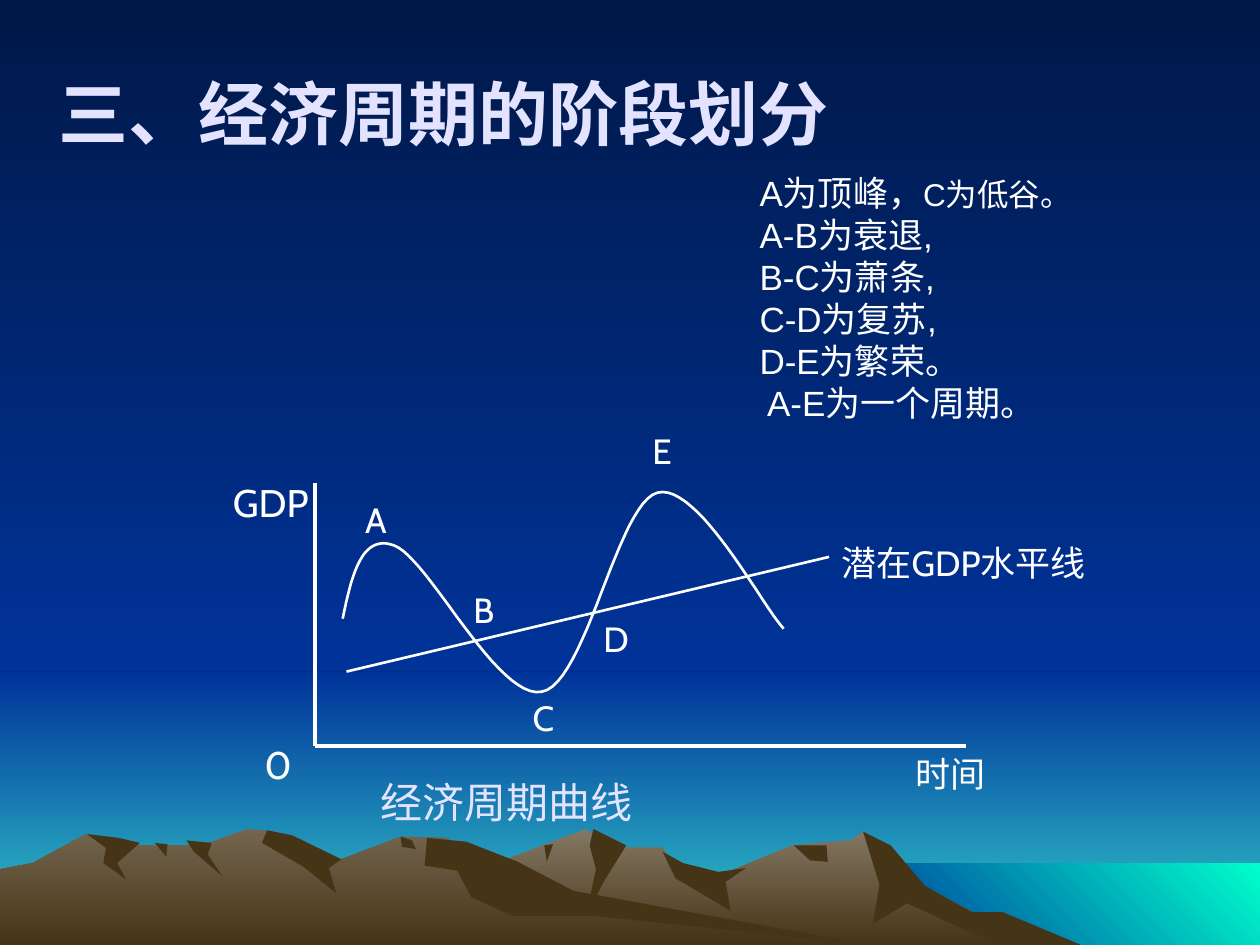
import pptx
import pptx.util
import pptx.dml.color
import pptx.enum.shapes
import pptx.enum.text
import pptx.oxml
import pptx.oxml.ns

WIDTH, HEIGHT = 10, 7.5
HORIZON, SHORE = 5.33, (6.83, 6.85)
WHITE, LILAC, BROWN = "FFFFFF", "E3E3FF", "463416"
NIGHT = ("001847", "003399")

# Backdrop rectangles: left, top, right, bottom, gradient colours, angle
BACKDROP = [
    (0, HORIZON, WIDTH, HEIGHT, ("003399", "33CCCC"), 270),
    (0, 0, WIDTH, HORIZON, NIGHT, 270),
    (*SHORE, WIDTH, HEIGHT, ("003399", "00FFCC"), 45),
]

# Mountain ranges, back to front: colours, ridge down to the base, shadows
RANGES = [
    (("847864", BROWN),
     [(2.58, HEIGHT), (3.27, 7.09), (4.05, 6.81), (4.65, 6.58), (4.86, 6.73), (5.26, 6.73),
      (5.36, 6.9), (5.66, 6.97), (6.29, 6.71), (6.76, 6.67), (6.85, 6.6), (7.23, 6.98),
      (8.21, HEIGHT)],
     [[(6.85, 6.6), (7.07, 6.71), (7.34, 7.03), (7.71, 7.24), (7.96, 7.24),
       (8.58, HEIGHT), (7.92, HEIGHT), (7.2, 7.17), (6.93, 7.33), (6.98, 7.02)],
      [(4.71, 6.58), (4.97, 6.71), (4.79, 7), (4.65, 7.27), (4.73, 6.9), (4.68, 6.71)],
      [(5.26, 6.76), (5.42, 6.85), (5.7, 6.92), (5.92, 6.89), (5.76, 7), (5.8, 7.23),
       (5.36, 6.97)],
      [(6.3, 6.71), (6.56, 6.71), (6.57, 6.84), (6.43, 6.83)],
      [(4.32, 6.71), (4.39, 6.7), (4.34, 6.84)]]),
    (("73654F", BROWN),
     [(0, HEIGHT), (0, 6.9), (0.26, 6.85), (0.68, 6.62), (0.94, 6.71), (1.6, 6.71),
      (1.96, 6.58), (2.19, 6.6), (2.36, 6.81), (2.71, 6.82), (3.18, 6.64), (3.54, 6.65),
      (4.32, 7.12), (6.9, HEIGHT)],
     [[(2.12, 6.59), (2.32, 6.63), (2.71, 6.82), (2.61, 6.89), (2.67, 7.09),
       (2.41, 6.88), (2.08, 6.69)],
      [(3.39, 6.65), (3.7, 6.68), (4.11, 6.84), (4.55, 7.07), (6.9, HEIGHT), (4.72, 7.27),
       (4.07, 7.27), (3.74, 7.12), (3.63, 6.91), (3.37, 6.87)],
      [(3.18, 6.64), (3.27, 6.67), (3.3, 6.74), (3.19, 6.72)],
      [(1.48, 6.67), (1.68, 6.69), (1.65, 6.78), (1.76, 6.95), (1.54, 6.76)],
      [(1.23, 6.69), (1.33, 6.7), (1.32, 6.8)],
      [(0.69, 6.62), (0.94, 6.65), (1.11, 6.69), (0.93, 6.85), (1, 6.98), (0.82, 6.85),
       (0.84, 6.73)]]),
]

# Diagram: straight lines (start, end, width) and the cycle as Bezier spans
ORIGIN = (2.5, 5.92)
LINES = [
    (ORIGIN, (7.67, 5.92), 2.5),
    (ORIGIN, (2.5, 3.83), 2.5),
    ((2.75, 5.33), (6.58, 4.42), 1.5),
]
CYCLE = [
    (2.72, 4.91), (2.79, 4.57), (2.87, 4.23), (3.13, 4.33), (3.4, 4.43), (3.95, 5.56),
    (4.3, 5.49), (4.65, 5.43), (4.9, 3.99), (5.22, 3.91), (5.54, 3.83), (6.05, 4.81),
    (6.22, 4.99),
]

# Labels by text size and height: text, left, top, width
LABELS = {
    (22, 0.47): [("GDP", 1.75, 3.75, 0.83), ("0", 2, 5.83, 0.42)],
    (20, 0.44): [
        ("A", 2.8, 3.91, 0.83), ("B", 3.66, 4.62, 0.47), ("C", 4.13, 5.48, 0.47),
        ("D", 4.69, 4.85, 0.47), ("E", 5.08, 3.36, 0.47), ("时间", 7.17, 5.92, 0.83)],
    (20, 0.77): [("潜在GDP水平线", 6.58, 4.25, 2.25)],
}
TITLE = "三、经济周期的阶段划分"
CAPTION = "经济周期曲线"
NOTES = [[("A为顶峰，", 20), ("C为低谷。", 18)]] + [
    [(line, 20)] for line in
    ("A-B为衰退,", "B-C为萧条,", "C-D为复苏,", "D-E为繁荣。", "A-E为一个周期。")]

inch, pt = pptx.util.Inches, pptx.util.Pt
prs = pptx.Presentation()
prs.slide_width, prs.slide_height = inch(WIDTH), inch(HEIGHT)
s = prs.slides.add_slide(prs.slide_layouts[6])


def rgb(value):
    return pptx.dml.color.RGBColor.from_string(value)


def paint(fill, colours, angle=270):
    if isinstance(colours, str):
        fill.solid()
        fill.fore_color.rgb = rgb(colours)
        return
    fill.gradient()
    fill.gradient_angle = angle
    for stop, colour in zip(fill.gradient_stops, colours):
        stop.color.rgb = rgb(colour)


def outline(points, close):
    units = [(round(x * 1000), round(y * 1000)) for x, y in points]
    builder = s.shapes.build_freeform(*units[0], scale=inch(1) / 1000)
    builder.add_line_segments(units[1:], close=close)
    sp = builder.convert_to_shape()
    sp.shadow.inherit = False
    return sp


def bezier(a, b, c, d, steps=24):
    for i in range(1, steps + 1):
        t = i / steps
        u = 1 - t
        yield tuple(u**3 * p + 3 * u * u * t * q + 3 * u * t * t * m + t**3 * n
                    for p, q, m, n in zip(a, b, c, d))


def write(paragraphs, box, font="Cabin", colour=WHITE, bold=False, spacing=None, **frame):
    tf = s.shapes.add_textbox(*map(inch, box)).text_frame
    for name, value in {"word_wrap": True, **frame}.items():
        setattr(tf, name, value)
    for i, runs in enumerate(paragraphs):
        p = tf.paragraphs[0] if i == 0 else tf.add_paragraph()
        p.line_spacing = spacing
        for text, size in runs:
            r = p.add_run()
            r.text = text
            for name, value in {"name": font, "size": pt(size), "bold": bold}.items():
                setattr(r.font, name, value)
            r.font.color.rgb = rgb(colour)
            ea = pptx.oxml.parse_xml(f'<a:ea {pptx.oxml.ns.nsdecls("a")} typeface="{font}"/>')
            r.font._element.find(pptx.oxml.ns.qn("a:latin")).addnext(ea)
    return tf


# Backdrop and mountains
paint(s.background.fill, NIGHT)
for left, top, right, bottom, colours, angle in BACKDROP:
    sp = s.shapes.add_shape(pptx.enum.shapes.MSO_SHAPE.RECTANGLE,
                            *map(inch, (left, top, right - left, bottom - top)))
    sp.shadow.inherit = False
    paint(sp.fill, colours, angle)
    sp.line.fill.background()
for colours, ridge, shadows in RANGES:
    for fill, points in [(colours, ridge)] + [(BROWN, shadow) for shadow in shadows]:
        sp = outline(points, True)
        paint(sp.fill, fill)
        sp.line.fill.background()

# Title
margins = dict.fromkeys(("margin_left", "margin_right", "margin_top", "margin_bottom"), 0)
tf = write([[(TITLE, 40)]], (0.27, 0.6, 6.5, 0.58), "Arial", LILAC, True,
           vertical_anchor=pptx.enum.text.MSO_ANCHOR.MIDDLE, **margins)
tf.paragraphs[0].alignment = pptx.enum.text.PP_ALIGN.CENTER

# Axes, potential output line and cycle curve
for start, end, width in LINES:
    line = s.shapes.add_connector(pptx.enum.shapes.MSO_CONNECTOR.STRAIGHT,
                                  *map(inch, start + end))
    line.line.color.rgb, line.line.width = rgb(WHITE), pt(width)
    line._element.spPr.append(
        pptx.oxml.parse_xml(f'<a:effectLst {pptx.oxml.ns.nsdecls("a")}/>'))
curve = [CYCLE[0]]
for i in range(0, len(CYCLE) - 1, 3):
    curve.extend(bezier(*CYCLE[i:i + 4]))
sp = outline(curve, False)
sp.fill.background()
sp.line.color.rgb, sp.line.width = rgb(WHITE), pt(1.5)

# Labels, caption and notes
for (size, height), labels in LABELS.items():
    for text, *place in labels:
        write([[(text, size)]], (*place, height), spacing=pt(size * 1.2))
write([[(CAPTION, 24)]], (2.92, 6.11, 3.72, 0.5), "Noto Sans CJK SC", LILAC)
tf = write(NOTES, (5.93, 1.31, 2.87, 2.1), "Arial", spacing=pt(24), word_wrap=False)
tf.paragraphs[-1]._p.get_or_add_pPr().set("marL", str(inch(0.06)))

prs.save("out.pptx")
